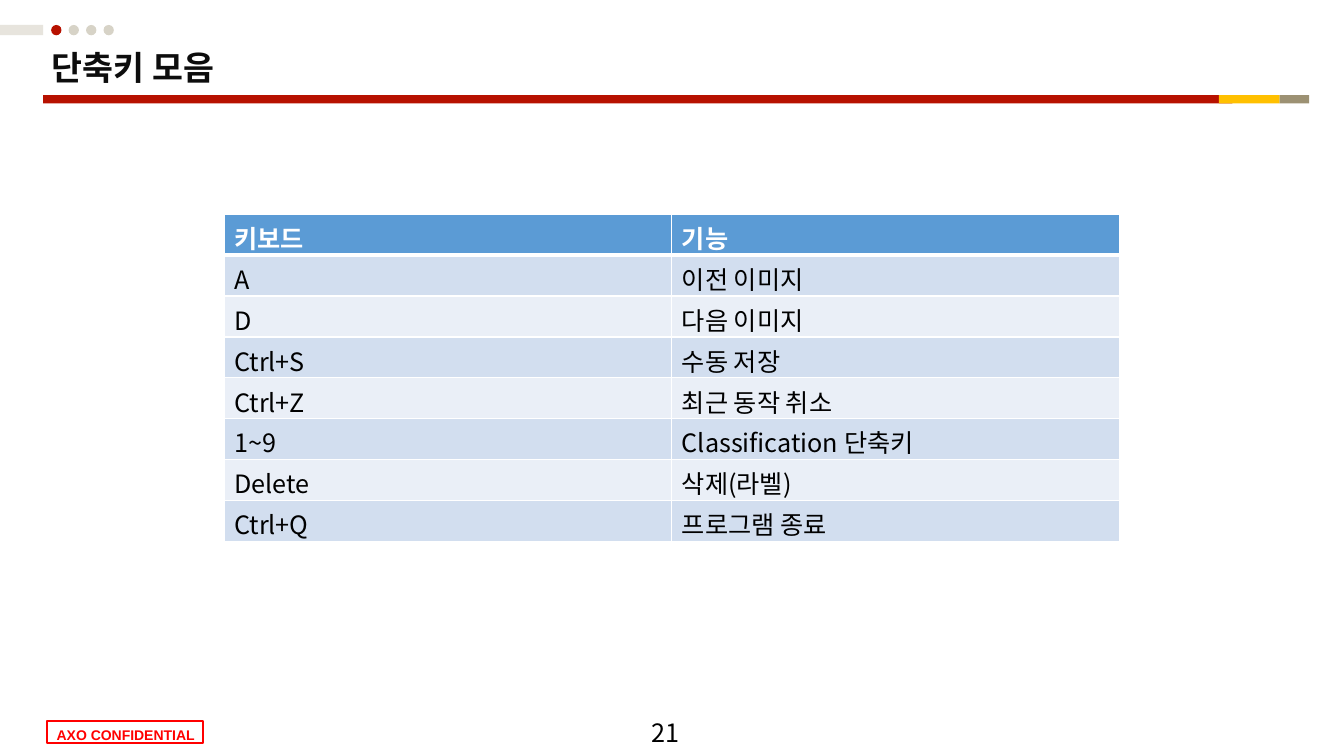
import dataclasses

import lxml.etree
import pptx
import pptx.dml.color
import pptx.enum.shapes
import pptx.enum.text
import pptx.oxml.ns
import pptx.util

Cm = pptx.util.Cm
Pt = pptx.util.Pt
qn = pptx.oxml.ns.qn
SHAPE = pptx.enum.shapes.MSO_SHAPE


@dataclasses.dataclass(frozen=True)
class Theme:
    font: str = "Noto Sans CJK KR"
    label: str = "Arial"
    red: str = "B71100"
    gold: str = "FFC000"
    taupe: str = "9C9173"
    sand: str = "E7E4DD"
    alert: str = "FF0000"
    ink: str = "0D0D0D"
    black: str = "000000"
    white: str = "FFFFFF"
    head: str = "5B9BD5"
    bands: tuple = ("D2DEEF", "EAEFF7")
    title: int = 24
    body: int = 18
    small: int = 10


def color(code):
    return pptx.dml.color.RGBColor.from_string(code)


def write(frame, text, font, size, fill, bold=False):
    """Fill a text frame with one left-aligned run in Latin and East Asian font."""
    para = frame.paragraphs[0]
    para.alignment = pptx.enum.text.PP_ALIGN.LEFT
    run = para.add_run()
    run.text = text
    run.font.size = Pt(size)
    run.font.bold = bold
    run.font.color.rgb = color(fill)
    run.font.name = font
    props = run._r.get_or_add_rPr()
    lxml.etree.SubElement(props, qn("a:ea"), typeface=font)


def edge(cell, side, code, width):
    line = lxml.etree.SubElement(
        cell._tc.get_or_add_tcPr(), qn(f"a:ln{side}"), w=str(Pt(width)))
    solid = lxml.etree.SubElement(line, qn("a:solidFill"))
    lxml.etree.SubElement(solid, qn("a:srgbClr"), val=code)


class Page:
    """Holds the theme and the slide being drawn; lengths are in centimetres."""

    def __init__(self, slide, theme):
        self.slide = slide
        self.theme = theme

    def shape(self, kind, left, top, width, height, fill=None, alpha=None):
        item = self.slide.shapes.add_shape(
            kind, Cm(left), Cm(top), Cm(width), Cm(height))
        item.shadow.inherit = False
        item.line.fill.background()
        if fill is None:
            item.fill.background()
            return item
        item.fill.solid()
        item.fill.fore_color.rgb = color(fill)
        if alpha is not None:
            tint = item._element.spPr.find(f".//{qn('a:srgbClr')}")
            lxml.etree.SubElement(tint, qn("a:alpha"), val=str(alpha * 1000))
        return item

    def text(self, text, left, top, width, height, wrap=True, **style):
        box = self.slide.shapes.add_textbox(
            Cm(left), Cm(top), Cm(width), Cm(height))
        box.text_frame.word_wrap = wrap
        write(box.text_frame, text, **style)

    def stamp(self, text, left, top, width, height):
        """Draw an outlined one-line label."""
        look = self.theme
        item = self.shape(SHAPE.RECTANGLE, left, top, width, height)
        item.line.color.rgb = color(look.alert)
        item.line.width = Pt(1.5)
        frame = item.text_frame
        frame.word_wrap = False
        frame.margin_right = Cm(0.1)
        frame.vertical_anchor = pptx.enum.text.MSO_ANCHOR.TOP
        write(frame, text, look.label, look.small, look.alert, bold=True)

    def table(self, rows, left, top, width, high):
        """Draw a banded two-tone table; high is the height of one row."""
        look = self.theme
        grid = self.slide.shapes.add_table(
            len(rows), len(rows[0]), Cm(left), Cm(top),
            Cm(width), Cm(high * len(rows))).table
        for r, row in enumerate(rows):
            first = r == 0
            grid.rows[r].height = Cm(high)
            for c, text in enumerate(row):
                cell = grid.cell(r, c)
                for side in "LRTB":
                    thick = (first and side == "B") or (r == 1 and side == "T")
                    edge(cell, side, look.white, 3 if thick else 1)
                cell.fill.solid()
                cell.fill.fore_color.rgb = color(
                    look.head if first else look.bands[(r - 1) % 2])
                write(cell.text_frame, text, look.font, look.body,
                      look.white if first else look.black, bold=first)


def main():
    deck = pptx.Presentation()
    deck.slide_width = Cm(33.87)
    deck.slide_height = Cm(19.05)
    look = Theme()
    page = Page(deck.slides.add_slide(deck.slide_layouts[6]), look)

    page.shape(SHAPE.RECTANGLE, 0, 0.63, 1.09, 0.26, look.sand)
    for n in range(4):
        fill, alpha = (look.taupe, 40) if n else (look.red, None)
        page.shape(SHAPE.OVAL, 1.29 + 0.44 * n, 0.63, 0.26, 0.26, fill, alpha)

    for left, width, fill in ((1.09, 29.97, look.red),
                              (30.72, 1.53, look.gold),
                              (32.25, 0.74, look.taupe)):
        page.shape(SHAPE.RECTANGLE, left, 2.4, width, 0.21, fill)

    page.text("21", 16.16, 17.94, 1.55, 1.03,
              font=look.font, size=look.body, fill=look.black)
    page.stamp("AXO CONFIDENTIAL", 1.18, 18.17, 3.94, 0.56)
    page.text("단축키 모음", 1.06, 1.07, 4.9, 1.28, wrap=False,
              font=look.font, size=look.title, fill=look.ink, bold=True)

    keys = [
        ("키보드", "기능"),
        ("A", "이전 이미지"),
        ("D", "다음 이미지"),
        ("Ctrl+S", "수동 저장"),
        ("Ctrl+Z", "최근 동작 취소"),
        ("1~9", "Classification 단축키"),
        ("Delete", "삭제(라벨)"),
        ("Ctrl+Q", "프로그램 종료"),
    ]
    page.table(keys, 5.65, 5.4, 22.56, 1.03)

    deck.save("out.pptx")


if __name__ == "__main__":
    main()
